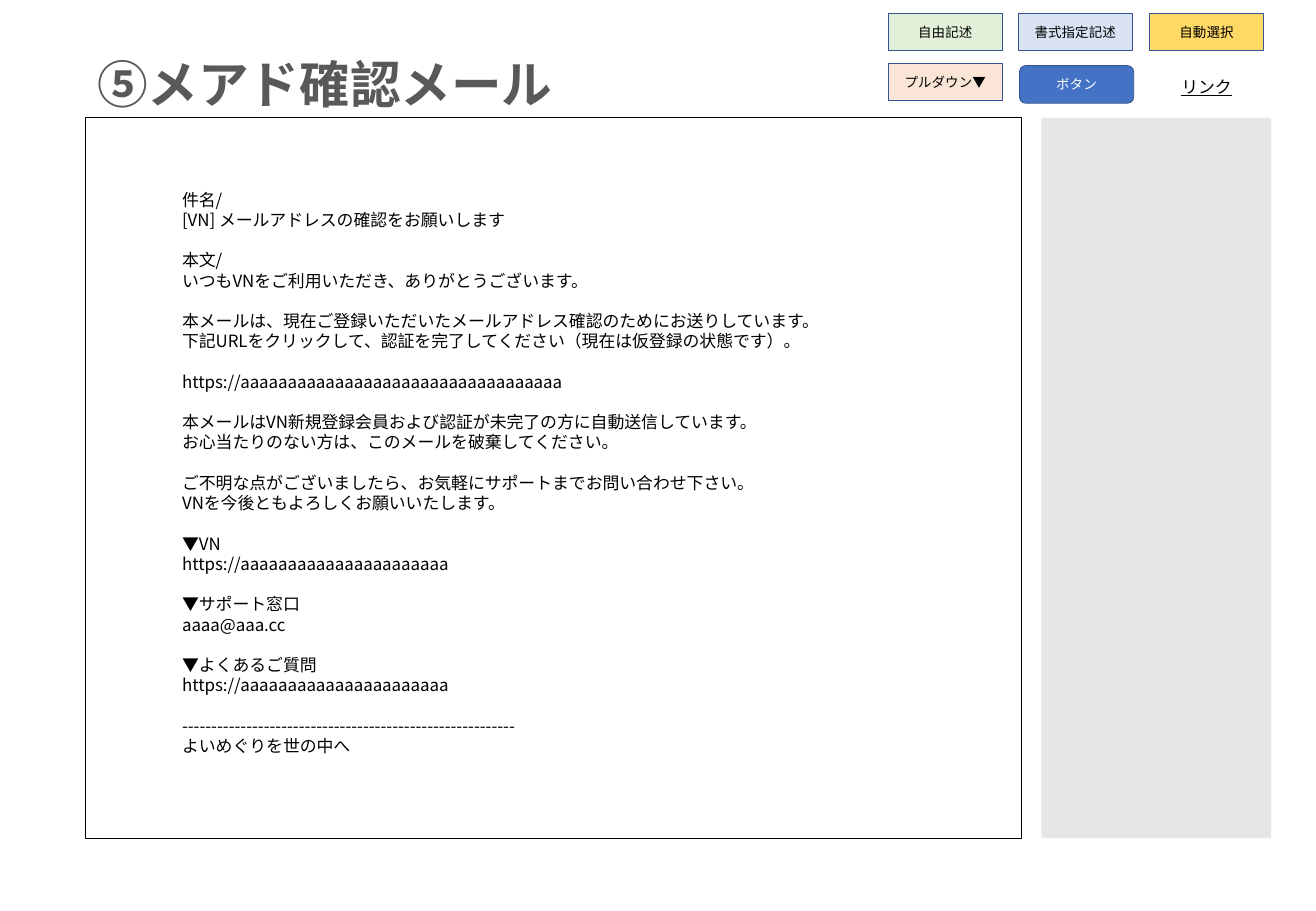
from lxml.etree import SubElement
from pptx import Presentation
from pptx.dml.color import RGBColor
from pptx.enum.shapes import MSO_SHAPE
from pptx.enum.text import MSO_ANCHOR, PP_ALIGN
from pptx.oxml.ns import qn
from pptx.util import Emu, Pt

SCALE = 9144  # EMU per px, 100 px to the inch
FONT = "Noto Sans CJK JP"

BLACK = RGBColor(0x00, 0x00, 0x00)
WHITE = RGBColor(0xFF, 0xFF, 0xFF)
TITLE_GRAY = RGBColor(0x59, 0x59, 0x59)
PANEL_GRAY = RGBColor(0xE7, 0xE6, 0xE6)
OUTLINE = RGBColor(0x32, 0x54, 0x91)
GREEN = RGBColor(0xE2, 0xF0, 0xD9)
PEACH = RGBColor(0xFB, 0xE5, 0xD6)
PALE_BLUE = RGBColor(0xDA, 0xE3, 0xF3)
YELLOW = RGBColor(0xFF, 0xD9, 0x66)
BLUE = RGBColor(0x44, 0x72, 0xC4)

MAIL_BLOCKS = [
    ["件名/", "[VN] メールアドレスの確認をお願いします"],
    ["本文/", "いつもVNをご利用いただき、ありがとうございます。"],
    ["本メールは、現在ご登録いただいたメールアドレス確認のためにお送りしています。",
     "下記URLをクリックして、認証を完了してください（現在は仮登録の状態です）。"],
    ["https://aaaaaaaaaaaaaaaaaaaaaaaaaaaaaaaaaa"],
    ["本メールはVN新規登録会員および認証が未完了の方に自動送信しています。",
     "お心当たりのない方は、このメールを破棄してください。"],
    ["ご不明な点がございましたら、お気軽にサポートまでお問い合わせ下さい。",
     "VNを今後ともよろしくお願いいたします。"],
    ["▼VN", "https://aaaaaaaaaaaaaaaaaaaaaa"],
    ["▼サポート窓口", "aaaa@aaa.cc"],
    ["▼よくあるご質問", "https://aaaaaaaaaaaaaaaaaaaaaa"],
    ["---------------------------------------------------------",
     "よいめぐりを世の中へ"],
]


def px(*lengths):
    return [Emu(length * SCALE) for length in lengths]


def add_span(para, text, size, color, bold=None, underline=None):
    span = para.add_run()
    span.text = text
    font = span.font
    font.size = Pt(size)
    font.bold = bold
    font.underline = underline
    font.color.rgb = color
    font.name = FONT
    SubElement(font._element, qn("a:ea"), typeface=FONT)


def add_text_frame(page, box):
    frame = page.shapes.add_textbox(*px(*box)).text_frame
    frame.word_wrap = True
    return frame


def add_panel(page, kind, box, fill=None, line=None):
    panel = page.shapes.add_shape(kind, *px(*box))
    panel.shadow.inherit = False
    if fill is None:
        panel.fill.background()
    else:
        panel.fill.solid()
        panel.fill.fore_color.rgb = fill
    if line is None:
        panel.line.fill.background()
    else:
        panel.line.color.rgb = line
        panel.line.width = Pt(0.5)
    return panel


def add_title(page, box):
    para = add_text_frame(page, box).paragraphs[0]
    para.line_spacing = Pt(38)
    add_span(para, "⑤メアド確認メール", 30, TITLE_GRAY, bold=True)


def add_mail(page, box):
    left, top, width, height = box
    add_panel(page, MSO_SHAPE.RECTANGLE, box, line=BLACK)
    frame = add_text_frame(page, (left + 70, top + 54, width - 133, height - 112))
    pitch = Pt(12)
    para = frame.paragraphs[0]
    for block_index, block in enumerate(MAIL_BLOCKS):
        for line_index, text in enumerate(block):
            if block_index or line_index:
                para = frame.add_paragraph()
            para.line_spacing = pitch
            # One line of space opens every later block
            if block_index and not line_index:
                para.space_before = pitch
            add_span(para, text, 10, BLACK)


def add_legend(page, box):
    left, top, _, _ = box
    width, height = 94, 31
    rect, rounded = MSO_SHAPE.RECTANGLE, MSO_SHAPE.ROUNDED_RECTANGLE
    keys = [
        ("ボタン", rounded, 108, 43, BLUE, WHITE),
        ("自由記述", rect, 0, 0, GREEN, BLACK),
        ("プルダウン▼", rect, 0, 41, PEACH, BLACK),
        ("書式指定記述", rect, 107, 0, PALE_BLUE, BLACK),
        ("自動選択", rect, 215, 0, YELLOW, BLACK),
    ]
    for label, kind, x, y, fill, color in keys:
        key = add_panel(page, kind, (left + x, top + y, width, height), fill, OUTLINE)
        frame = key.text_frame
        frame.margin_left = frame.margin_right = 0
        frame.vertical_anchor = MSO_ANCHOR.MIDDLE
        para = frame.paragraphs[0]
        para.alignment = PP_ALIGN.CENTER
        add_span(para, label, 8, color)

    # Link sample
    para = add_text_frame(page, (left + 215, top + 47, width, 27)).paragraphs[0]
    para.alignment = PP_ALIGN.CENTER
    para.line_spacing = Pt(12)
    add_span(para, "リンク", 10, BLACK, underline=True)


def main():
    deck = Presentation()
    deck.slide_width, deck.slide_height = px(1083, 750)
    page = deck.slides.add_slide(deck.slide_layouts[6])

    add_title(page, (70, 36, 939, 61))
    # Empty side column
    add_panel(page, MSO_SHAPE.RECTANGLE, (857, 97, 189, 593), PANEL_GRAY)
    add_mail(page, (70, 97, 771, 593))
    add_legend(page, (731, 11, 309, 74))

    deck.save("out.pptx")


if __name__ == "__main__":
    main()
